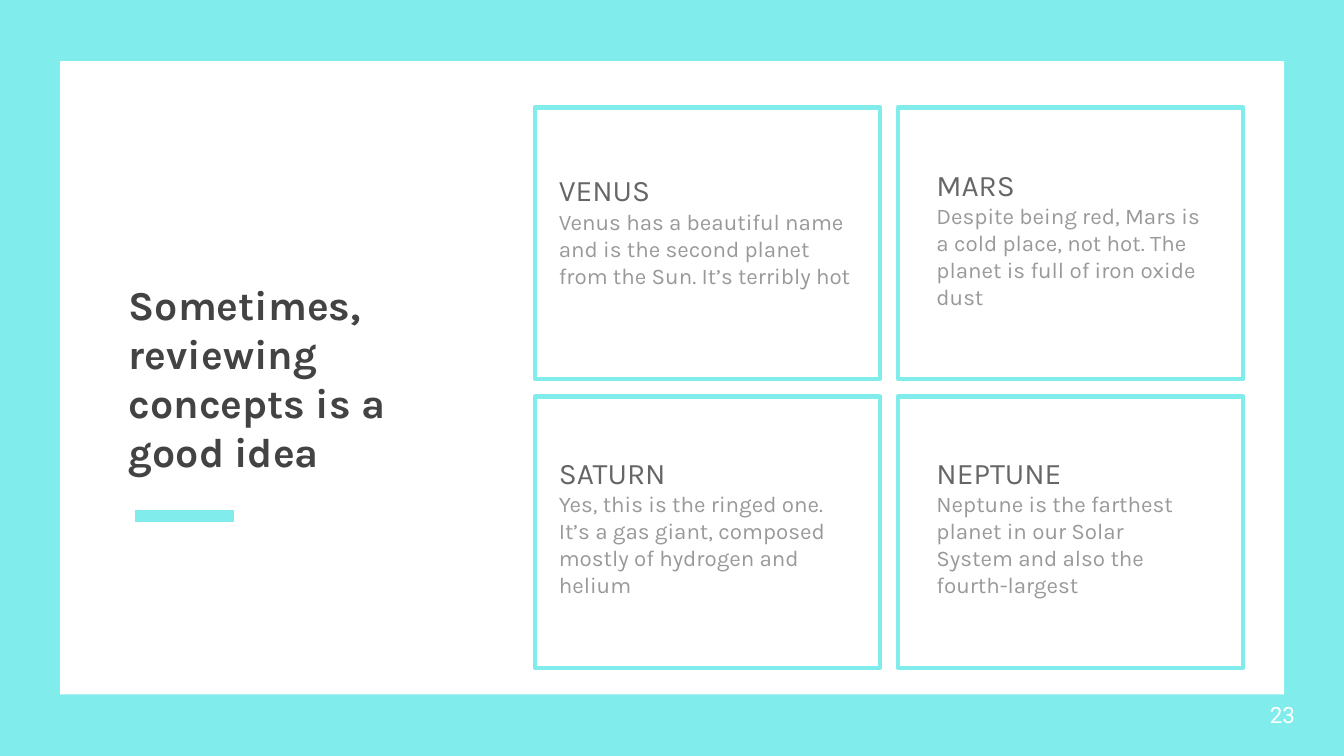
from lxml import etree
from pptx import Presentation
from pptx.dml.color import RGBColor
from pptx.enum.shapes import MSO_CONNECTOR, MSO_SHAPE
from pptx.enum.text import MSO_ANCHOR
from pptx.oxml.ns import qn
from pptx.util import Pt

RECTANGLE = MSO_SHAPE.RECTANGLE
STRAIGHT = MSO_CONNECTOR.STRAIGHT
TOP = MSO_ANCHOR.TOP
MIDDLE = MSO_ANCHOR.MIDDLE

COLORS = {
    "aqua": "81ECEC",
    "white": "FFFFFF",
    "title": "434343",
    "heading": "666666",
    "body": "999999",
}

FRAME_LEFT, FRAME_TOP = 286.6, 57.6
FRAME_WIDTH, FRAME_HEIGHT = 185, 145.4
COLUMN_STEP, ROW_STEP = 194.4, 154.8
TEXT_HEIGHT = 89.3

PLANETS = [
    ("VENUS", "Venus has a beautiful name and is the second planet from the Sun. It’s terribly hot",
     292.3, 85, 170.6),
    ("MARS", "Despite being red, Mars is a cold place, not hot. The planet is full of iron oxide dust",
     494.6, 82, 157),
    ("SATURN", "Yes, this is the ringed one. It’s a gas giant, composed mostly of hydrogen and helium",
     292.3, 236.2, 165.6),
    ("NEPTUNE", "Neptune is the farthest planet in our Solar System and also the fourth-largest",
     494.6, 236.2, 157),
]


def color(name):
    return RGBColor.from_string(COLORS[name])


def add_rectangle(page, left, top, width, height, fill=None, line=None):
    shape = page.shapes.add_shape(RECTANGLE, Pt(left), Pt(top), Pt(width), Pt(height))
    shape.shadow.inherit = False
    if fill:
        shape.fill.solid()
        shape.fill.fore_color.rgb = color(fill)
    else:
        shape.fill.background()
    if line:
        shape.line.color.rgb = color(line)
        shape.line.width = Pt(2.25)
    else:
        shape.line.fill.background()


def add_accent(page, left, right, y):
    accent = page.shapes.add_connector(STRAIGHT, Pt(left), Pt(y), Pt(right), Pt(y))
    accent.line.color.rgb = color("aqua")
    accent.line.width = Pt(6)
    etree.SubElement(accent._element.spPr, qn("a:effectLst"))


def add_text(page, text, left, top, width, height, styles, font="Karla", bold=False, anchor=TOP):
    box = page.shapes.add_textbox(Pt(left), Pt(top), Pt(width), Pt(height))
    frame = box.text_frame
    frame.word_wrap = True
    frame.vertical_anchor = anchor
    frame.margin_left = frame.margin_right = Pt(7.2)
    frame.margin_top = frame.margin_bottom = Pt(7.2)
    para = frame.paragraphs[0]
    para.text = text
    for span, (size, tint) in zip(para.runs, styles):
        span.font.name = font
        span.font.size = Pt(size)
        span.font.bold = bold
        span.font.color.rgb = color(tint)


def main():
    deck = Presentation()
    deck.slide_width = Pt(720)
    deck.slide_height = Pt(405)
    page = deck.slides.add_slide(deck.slide_layouts[6])
    page.background.fill.solid()
    page.background.fill.fore_color.rgb = color("aqua")

    add_rectangle(page, 32.2, 32.8, 655.8, 339.2, fill="white")
    add_accent(page, 72.2, 125.3, 276.5)

    for index in range(len(PLANETS)):
        row, column = divmod(index, 2)
        add_rectangle(page, FRAME_LEFT + column * COLUMN_STEP, FRAME_TOP + row * ROW_STEP,
                      FRAME_WIDTH, FRAME_HEIGHT, line="aqua")

    for name, fact, left, top, width in PLANETS:
        add_text(page, f"{name}\n{fact}", left, top, width, TEXT_HEIGHT,
                 [(16, "heading"), (12, "body")])

    add_text(page, "23", 673.2, 367.4, 43.2, 31, [(12, "white")], font="Roboto", anchor=MIDDLE)
    add_text(page, "Sometimes, reviewing concepts is a good idea", 61.9, 136.8, 200.2, 131,
             [(22, "title")], bold=True, anchor=MIDDLE)

    deck.save("out.pptx")


if __name__ == "__main__":
    main()
